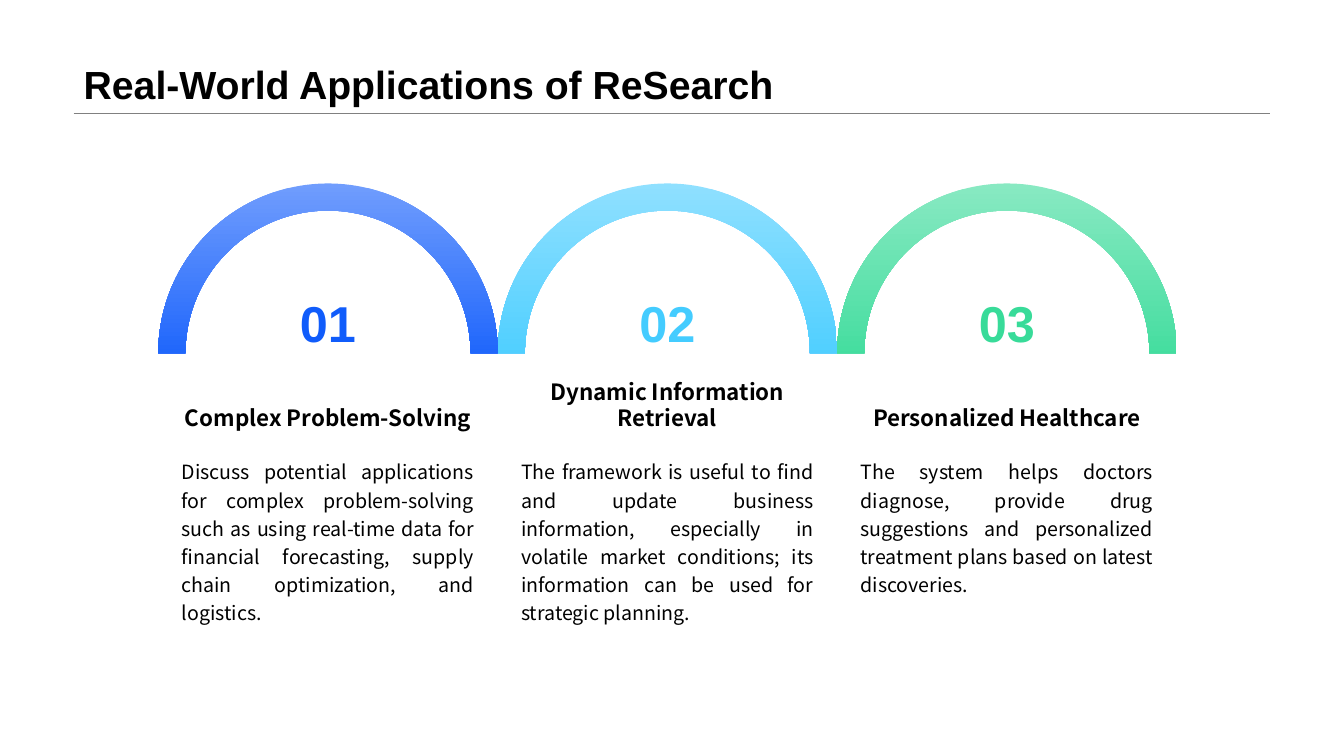
from dataclasses import dataclass

from pptx import Presentation
from pptx.dml.color import RGBColor
from pptx.enum.shapes import MSO_CONNECTOR, MSO_SHAPE
from pptx.enum.text import MSO_ANCHOR, MSO_AUTO_SIZE, PP_ALIGN
from pptx.oxml import parse_xml
from pptx.oxml.ns import nsdecls
from pptx.util import Inches, Pt

STRAIGHT, ARC = MSO_CONNECTOR.STRAIGHT, MSO_SHAPE.BLOCK_ARC
TOP, MIDDLE, BOTTOM = MSO_ANCHOR.TOP, MSO_ANCHOR.MIDDLE, MSO_ANCHOR.BOTTOM
LEFT, CENTER, JUSTIFY = PP_ALIGN.LEFT, PP_ALIGN.CENTER, PP_ALIGN.JUSTIFY
NO_FIT, GROW = MSO_AUTO_SIZE.NONE, MSO_AUTO_SIZE.SHAPE_TO_FIT_TEXT
TITLE_ONLY = 5


@dataclass(frozen=True)
class Theme:
    ink: str = "000000"
    rule: str = "808080"
    display: str = "Arial"
    text: str = "Noto Sans CJK SC"
    title_size: int = 28
    number_size: int = 36
    heading_size: int = 16
    body_size: int = 14


THEME = Theme()
TITLE = "Real-World Applications of ReSearch"
# Heading, body, light and strong arc colour
APPLICATIONS = [
    ("Complex Problem-Solving",
     "Discuss potential applications for complex problem-solving such as using "
     "real-time data for financial forecasting, supply chain optimization, and "
     "logistics.", "709DFD", "105CFB"),
    ("Dynamic Information Retrieval",
     "The framework is useful to find and update business information, "
     "especially in volatile market conditions; its information can be used "
     "for strategic planning.", "8FE0FF", "44CCFF"),
    ("Personalized Healthcare",
     "The system helps doctors diagnose, provide drug suggestions and "
     "personalized treatment plans based on latest discoveries.",
     "88E9C2", "38DB99"),
]


def write(sp, text, size, font=THEME.text, color=THEME.ink, bold=False,
          align=LEFT, anchor=TOP, spacing=1.0, wrap=True, fit=GROW):
    tf = sp.text_frame
    tf.word_wrap = wrap
    tf.auto_size = fit
    tf.vertical_anchor = anchor
    p = tf.paragraphs[0]
    p.alignment = align
    p.line_spacing = spacing
    r = p.add_run()
    r.text = text
    r.font.name = font
    r.font.size = Pt(size)
    r.font.bold = bold
    r.font.color.rgb = RGBColor.from_string(color)


def add_text(slide, x, y, w, h, text, size, **fmt):
    box = slide.shapes.add_textbox(Inches(x), Inches(y), Inches(w), Inches(h))
    write(box, text, size, **fmt)


def add_title(slide, x, y, w, h):
    """Title at the bottom of the box, with a rule along its lower edge."""
    title = slide.shapes.title
    title.left, title.top = Inches(x), Inches(y)
    title.width, title.height = Inches(w), Inches(h)
    write(title, TITLE, THEME.title_size, font=THEME.display, bold=True,
          anchor=BOTTOM, spacing=0.9, fit=NO_FIT)
    rule = slide.shapes.add_connector(
        STRAIGHT, Inches(x), Inches(y + h), Inches(x + w), Inches(y + h))
    rule.line.color.rgb = RGBColor.from_string(THEME.rule)
    rule.line.width = Pt(0.25)
    rule._element.spPr.append(parse_xml(f"<a:effectLst {nsdecls('a')}/>"))


def add_arc(slide, x, y, size, light, strong):
    arc = slide.shapes.add_shape(
        ARC, Inches(x), Inches(y), Inches(size), Inches(size))
    arc.shadow.inherit = False
    arc.line.fill.background()
    for i, value in enumerate((108, 0, 0.08)):
        arc.adjustments[i] = value
    arc.fill.gradient()
    arc.fill.gradient_angle = 270
    stops = zip(arc.fill.gradient_stops, ((0, light), (0.6, strong)))
    for stop, (position, color) in stops:
        stop.position = position
        stop.color.rgb = RGBColor.from_string(color)


def add_application(slide, x, y, w, number, heading, body, light, strong):
    """Column of width w: an arc around its number, then heading and body."""
    add_arc(slide, x, y, w, light, strong)
    number_w, text_w = 0.76, 3.1
    add_text(slide, x + (w - number_w) / 2, y + 1.02, number_w, 0.71,
             f"{number:02}", THEME.number_size, font=THEME.display,
             color=strong, bold=True, align=CENTER, anchor=MIDDLE, wrap=False)
    text_x = x + (w - text_w) / 2
    add_text(slide, text_x, y + 2.14, text_w, 0.37, heading,
             THEME.heading_size, bold=True, align=CENTER, anchor=BOTTOM)
    add_text(slide, text_x, y + 2.65, text_w, 1.77, body,
             THEME.body_size, align=JUSTIFY, spacing=1.2)


def add_applications(slide, x, y, w):
    column = w / len(APPLICATIONS)
    for i, application in enumerate(APPLICATIONS):
        add_application(slide, x + i * column, y, column, i + 1, *application)


def main():
    prs = Presentation()
    prs.slide_width, prs.slide_height = Inches(13.33), Inches(7.5)
    slide = prs.slides.add_slide(prs.slide_layouts[TITLE_ONLY])
    add_title(slide, 0.73, 0, 11.87, 1.12)
    add_applications(slide, 1.57, 1.82, 10.1)
    prs.save("out.pptx")


if __name__ == "__main__":
    main()
